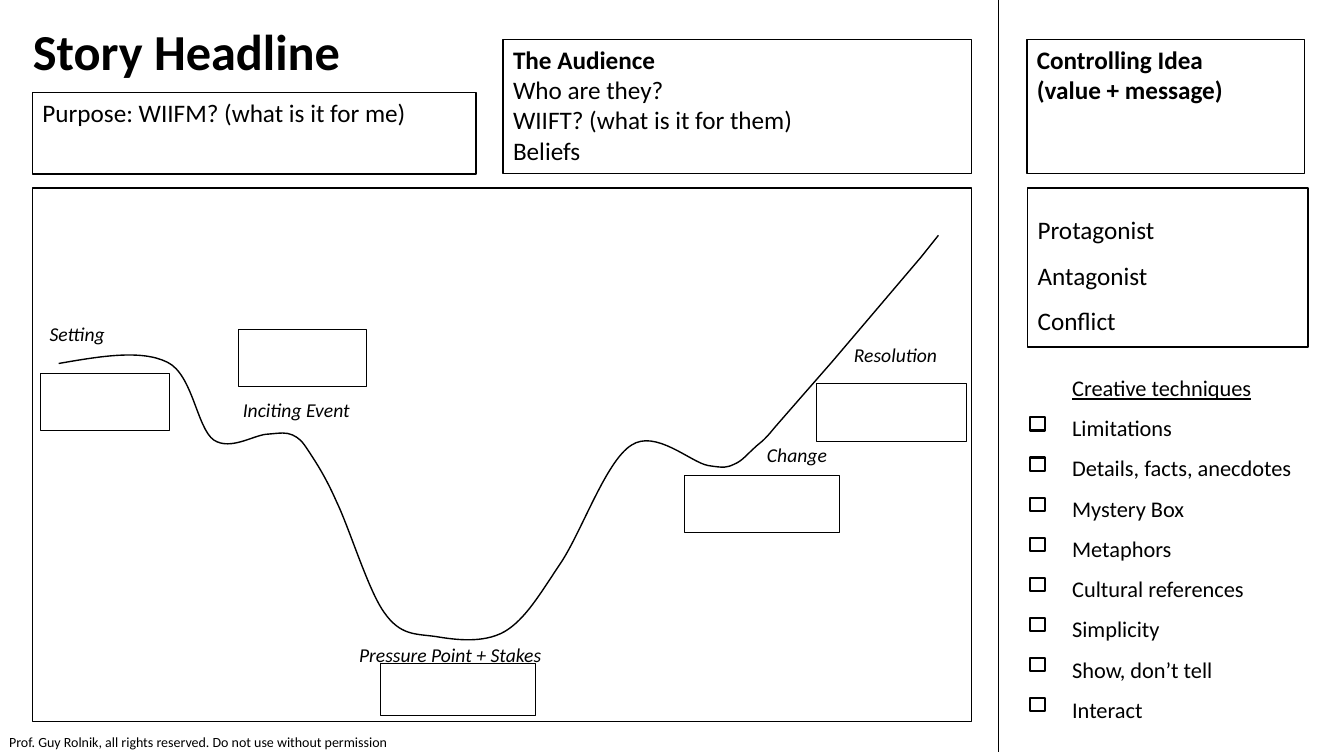
from lxml import etree
from pptx import Presentation
from pptx.dml.color import RGBColor
from pptx.enum.shapes import MSO_CONNECTOR, MSO_SHAPE
from pptx.enum.text import MSO_ANCHOR, MSO_AUTO_SIZE, PP_ALIGN
from pptx.oxml.ns import qn
from pptx.util import Cm, Pt

BLACK = RGBColor(0, 0, 0)
WHITE = RGBColor(255, 255, 255)
FONT = "Calibri"

# Story beats: label, label place (x, y, width), empty box (x, y, width, height)
BEATS = [
    ("Setting", (0.18, 3.25, 2.95), (0.21, 4.67, 3.25, 1.45)),
    ("Inciting Event", (5.05, 5.16, 3.91), (5.18, 3.56, 3.25, 1.45)),
    ("Pressure Point + Stakes", (7.98, 11.33, 5.44), (8.76, 11.99, 3.91, 1.3)),
    ("Change", (18.26, 6.3, 2.95), (16.43, 7.24, 3.91, 1.45)),
    ("Resolution", (20.45, 3.78, 2.95), (19.76, 4.93, 3.78, 1.45)),
]

# Story curve: a start, then two handles and an end for each bend
START = (0.66, 4.42)
BENDS = [
    ((1.7, 4.24), (2.74, 4.06), (3.4, 4.39)),
    ((4.04, 4.7), (4.14, 6.05), (4.57, 6.35)),
    ((5, 6.63), (5.61, 6.2), (5.94, 6.2)),
    ((6.27, 6.17), (6.38, 6.15), (6.55, 6.22)),
    ((6.71, 6.3), (6.78, 6.35), (6.96, 6.63)),
    ((7.14, 6.91), (7.37, 7.24), (7.67, 7.92)),
    ((8, 8.61), (8.46, 10.13), (8.86, 10.69)),
    ((9.27, 11.28), (9.65, 11.23), (10.16, 11.3)),
    ((10.64, 11.38), (11.35, 11.48), (11.89, 11.18)),
    ((12.42, 10.87), (12.78, 10.24), (13.31, 9.45)),
    ((13.84, 8.66), (14.45, 6.88), (15.09, 6.48)),
    ((15.7, 6.07), (16.59, 6.91), (17.02, 6.99)),
    ((17.45, 7.06), (17.5, 7.04), (17.68, 6.96)),
    ((17.88, 6.88), (18.01, 6.71), (18.19, 6.55)),
    ((18.34, 6.4), (18.38, 6.43), (18.69, 6.05)),
    ((19, 5.69), (20.14, 4.39), (20.14, 4.39)),
]
RISE = [(22.4, 1.73), (22.83, 1.19)]
DEPTH = 10.21

TRICKS = ["Limitations", "Details, facts, anecdotes", "Mystery Box", "Metaphors",
          "Cultural references", "Simplicity", "Show, don’t tell", "Interact"]


def write(frame, lines, size, space=None, anchor=MSO_ANCHOR.TOP):
    """Each line is its text and a set of style letters: b, i, u."""
    frame.word_wrap = True
    frame.vertical_anchor = anchor
    for num, (text, style) in enumerate(lines):
        para = frame.add_paragraph() if num else frame.paragraphs[0]
        para.alignment = PP_ALIGN.LEFT
        if space:
            para.line_spacing = space
        run = para.add_run()
        run.text = text
        font = run.font
        font.name, font.size = FONT, Pt(size)
        font.color.rgb = BLACK
        font.bold, font.italic, font.underline = ("b" in style, "i" in style,
                                                  "u" in style)


def label(slide, box, lines, size, space=None, anchor=MSO_ANCHOR.TOP):
    shape = slide.shapes.add_textbox(*map(Cm, box))
    frame = shape.text_frame
    write(frame, lines, size, space, anchor)
    frame.auto_size = MSO_AUTO_SIZE.SHAPE_TO_FIT_TEXT
    return frame


def outline(shape, width, fill=None):
    shape.shadow.inherit = False
    if fill is None:
        shape.fill.background()
    else:
        shape.fill.solid()
        shape.fill.fore_color.rgb = fill
    shape.line.color.rgb = BLACK
    shape.line.width = Pt(width)


def panel(slide, box, lines=(), space=None, anchor=MSO_ANCHOR.TOP,
          width=1, fill=None):
    shape = slide.shapes.add_shape(MSO_SHAPE.RECTANGLE, *map(Cm, box))
    outline(shape, width, fill)
    if lines:
        write(shape.text_frame, lines, 18, space, anchor)


def curve(slide, left, top):
    def place(dot):
        return Cm(left + dot[0]), Cm(top + dot[1])

    pen = slide.shapes.build_freeform(*place(START))
    ends = [bend[-1] for bend in BENDS] + RISE
    pen.add_line_segments([place(dot) for dot in ends], close=False)
    shape = pen.convert_to_shape()
    outline(shape, 1)
    # Turn the straight steps into bends
    route = next(shape._element.iter(qn("a:path")))
    for step, bend in zip(route.findall(qn("a:lnTo")), BENDS):
        cubic = etree.Element(qn("a:cubicBezTo"))
        for x, y in map(place, bend):
            etree.SubElement(cubic, qn("a:pt"), x=str(x - shape.left),
                             y=str(y - shape.top))
        route.replace(step, cubic)
    # Let the frame hold the lowest bend
    shape.height = Cm(DEPTH)
    route.set("h", str(Cm(DEPTH)))


def arc(slide, box):
    left, top = box[:2]
    panel(slide, box)
    curve(slide, left, top)
    # Beats
    for text, (x, y, wide), _ in BEATS:
        label(slide, (left + x, top + y, wide, 0.86), [(text, "i")], 14)
    for _, _, (x, y, wide, high) in BEATS:
        panel(slide, (left + x, top + y, wide, high), width=0.75, fill=WHITE)


def checks(slide, box):
    left, top, wide, high = box
    lines = [("Creative techniques", "u")] + [(text, "") for text in TRICKS]
    label(slide, (left + 0.81, top, wide - 0.81, high), lines, 16, 1.5)
    for row in range(len(TRICKS)):
        panel(slide, (left, top + 1.56 + row * 1.01, 0.38, 0.33), width=1.5)


def split(slide, x, end):
    line = slide.shapes.add_connector(MSO_CONNECTOR.STRAIGHT, Cm(x), 0,
                                      Cm(x), Cm(end))
    line.line.color.rgb = BLACK
    line.line.width = Pt(0.5)
    etree.SubElement(line._element.spPr, qn("a:effectLst"))


def credit(slide, box):
    text = "Prof. Guy Rolnik, all rights reserved. Do not use without permission"
    frame = label(slide, box, [(text, "")], 10, anchor=MSO_ANCHOR.MIDDLE)
    frame.margin_left = frame.margin_right = Cm(0.13)
    frame.margin_top = frame.margin_bottom = Cm(0.13)


def main():
    deck = Presentation()
    deck.slide_width, deck.slide_height = Cm(33.87), Cm(19.05)
    slide = deck.slides.add_slide(deck.slide_layouts[6])

    # Headline, purpose and audience
    label(slide, (0.58, 0.38, 20.52, 1.8), [("Story Headline", "b")], 36)
    panel(slide, (0.82, 2.33, 11.18, 2.06),
          [("Purpose: WIIFM? (what is it for me)", "")])
    panel(slide, (12.68, 0.99, 11.81, 3.38),
          [("The Audience", "b"), ("Who are they?", ""),
           ("WIIFT? (what is it for them)", ""), ("Beliefs", "")])

    # Story arc and credit line
    arc(slide, (0.82, 4.74, 23.67, 13.44))
    credit(slide, (0.1, 18.34, 11.4, 0.69))

    # Side column
    split(slide, 25.17, 18.95)
    panel(slide, (25.88, 0.99, 6.99, 3.38),
          [("Controlling Idea", "b"), ("(value + message)", "b")])
    panel(slide, (25.9, 4.74, 7.06, 4.01),
          [("Protagonist", ""), ("Antagonist", ""), ("Conflict", "")],
          1.5, MSO_ANCHOR.MIDDLE)
    checks(slide, (25.96, 8.96, 7.44, 9.37))

    deck.save("out.pptx")


if __name__ == "__main__":
    main()
